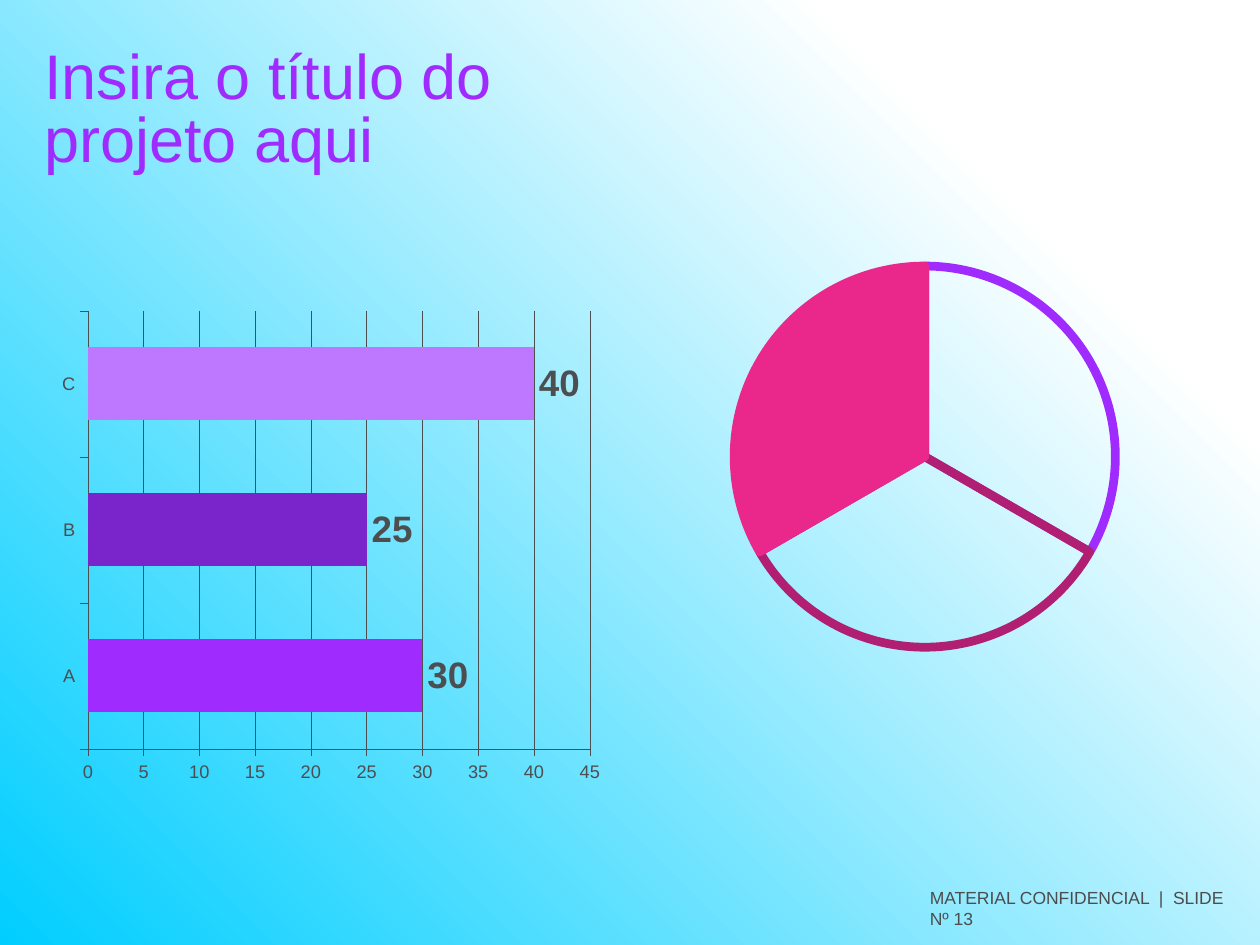
from lxml.etree import SubElement
from pptx import Presentation
from pptx.chart.data import CategoryChartData
from pptx.dml.color import RGBColor
from pptx.enum.chart import XL_CHART_TYPE, XL_LABEL_POSITION, XL_TICK_MARK
from pptx.enum.text import MSO_ANCHOR, MSO_AUTO_SIZE, PP_ALIGN
from pptx.oxml.ns import qn
from pptx.util import Inches, Pt

COLORS = {name: RGBColor.from_string(value) for name, value in {
    "cyan": "00CEFF", "white": "FFFFFF", "gray": "4D4E50", "footer": "4D4D4D",
    "violet": "A02BFF", "indigo": "7A24CC", "lilac": "BD78FF",
    "pink": "EA288C", "plum": "B01F72",
}.items()}


def place_chart(kind, categories, values, place, plot_area):
    """Add a one-series chart whose inner plot area is given as shares of the chart."""
    data = CategoryChartData()
    data.categories = categories
    data.add_series("Series 1", values)
    chart = page.shapes.add_chart(kind, *map(Inches, place), data).chart
    chart.has_legend = False
    chart.has_title = False
    chart.font.name = "Arial"
    plot_element = chart.element.find(".//" + qn("c:plotArea"))
    for old in plot_element.findall(qn("c:layout")):
        plot_element.remove(old)
    layout = SubElement(plot_element, qn("c:layout"))
    plot_element.insert(0, layout)
    manual = SubElement(layout, qn("c:manualLayout"))
    settings = [("layoutTarget", "inner"), ("xMode", "edge"), ("yMode", "edge")]
    for tag, value in settings + list(zip("xywh", plot_area)):
        SubElement(manual, qn("c:" + tag)).set("val", str(value))
    return chart


def format_text(box, text, size, color):
    frame = box.text_frame
    frame.margin_left = frame.margin_right = frame.margin_top = frame.margin_bottom = 0
    frame.word_wrap = True
    frame.auto_size = MSO_AUTO_SIZE.NONE
    frame.vertical_anchor = MSO_ANCHOR.TOP
    frame.text = text
    para = frame.paragraphs[0]
    para.alignment = PP_ALIGN.LEFT
    para.font.name = "Arial"
    para.font.size = Pt(size)
    para.font.color.rgb = COLORS[color]
    return para


deck = Presentation()
deck.slide_width, deck.slide_height = Inches(10), Inches(7.5)
page = deck.slides.add_slide(deck.slide_layouts[5])

# Background: cyan at the bottom left, white towards the top right
backdrop = page.background.fill
backdrop.gradient()
backdrop.gradient_angle = 45
for stop, (position, color) in zip(backdrop.gradient_stops, [(0, "cyan"), (0.8, "white")]):
    stop.position = position
    stop.color.rgb = COLORS[color]

# Bar chart
bars = place_chart(XL_CHART_TYPE.BAR_CLUSTERED, ["A", "B", "C"], [30, 25, 40],
                   (0.15, 2.26, 4.98, 4.14), (0.11, 0.05, 0.8, 0.84))
bars.font.size = Pt(10.4)
bars.font.color.rgb = COLORS["gray"]
value_axis = bars.value_axis
value_axis.minimum_scale, value_axis.maximum_scale, value_axis.major_unit = 0, 45, 5
value_axis.has_major_gridlines = True
for axis in (bars.category_axis, value_axis):
    axis.major_tick_mark = XL_TICK_MARK.OUTSIDE
for lined in (bars.category_axis, value_axis, value_axis.major_gridlines):
    lined.format.line.color.rgb = COLORS["gray"]
    lined.format.line.width = Pt(0.25)

plot = bars.plots[0]
plot.gap_width = 100
plot.vary_by_categories = False
for index, color in enumerate(["violet", "indigo", "lilac"]):
    fill = plot.series[0].points[index].format.fill
    fill.solid()
    fill.fore_color.rgb = COLORS[color]
plot.has_data_labels = True
labels = plot.data_labels
labels.show_value = True
labels.position = XL_LABEL_POSITION.OUTSIDE_END
labels.font.name = "Arial"
labels.font.size = Pt(21)
labels.font.bold = True
labels.font.color.rgb = COLORS["gray"]

# Pie chart: two outlined slices and one filled
pie = place_chart(XL_CHART_TYPE.PIE, ["1", "2", "3"], [33, 33, 33],
                  (5.4, 1.98, 3.88, 3.29), (0.11, 0.04, 0.78, 0.92))
pie.font.size = Pt(18)
pie.font.color.rgb = COLORS["white"]
pie.plots[0].vary_by_categories = False
for index, color in enumerate(["violet", "plum", "pink"]):
    piece = pie.plots[0].series[0].points[index].format
    piece.line.color.rgb = COLORS[color]
    piece.line.width = Pt(5)
    if color == "pink":
        piece.fill.solid()
        piece.fill.fore_color.rgb = COLORS[color]
    else:
        piece.fill.background()

# Title and footer
title = page.shapes.title
title.left, title.top, title.width, title.height = map(Inches, (0.35, 0.39, 4.16, 1.38))
heading = format_text(title, "Insira o título do projeto aqui", 36, "violet")
heading.line_spacing = Pt(36)
footer = page.shapes.add_textbox(*map(Inches, (7.38, 7.04, 2.42, 0.25)))
format_text(footer, "MATERIAL CONFIDENCIAL  |  SLIDE Nº 13", 10, "footer")

deck.save("out.pptx")
